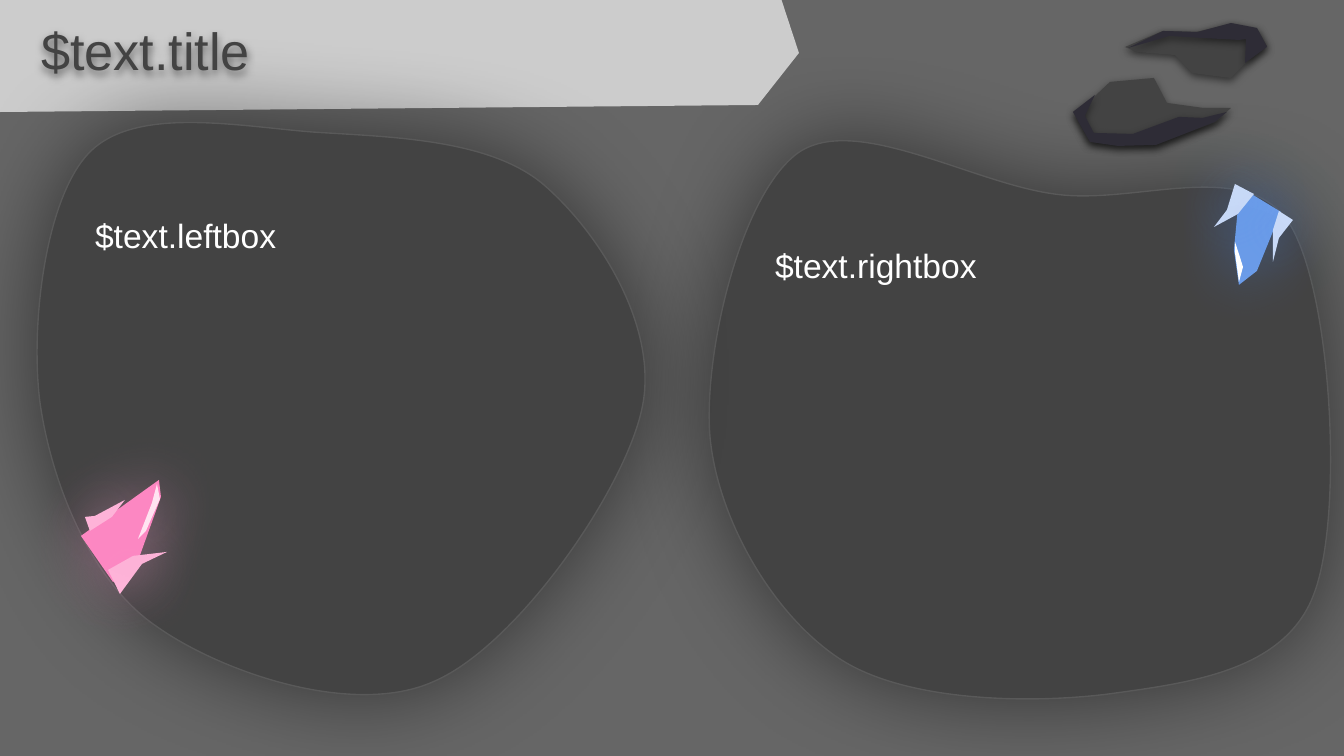
from pptx import Presentation
from pptx.dml.color import RGBColor as Rgb
from pptx.enum.text import MSO_ANCHOR as Anchor, MSO_AUTO_SIZE as Fit, PP_ALIGN as Align
from pptx.oxml import parse_xml
from pptx.oxml.ns import nsdecls, qn
from pptx.util import Emu, Pt

PX = 914400 / 134.4
INK = {
    "back": "666666", "dark": "434343", "edge": "595959", "pale": "CCCCCC",
    "white": "FFFFFF", "black": "000000", "night": "2E2C36",
    "blue": "6D9EEB", "ice": "C9DAF8", "sky": "4A86E8",
    "pink": "FF87C2", "rose": "FFB4D9", "blush": "FFE3F1", "glow": "F59FCD",
}

# Shadows: colour, blur and downward distance in points
DEEP = ("black", 49.5, 0)
LOW = ("black", 4.5, 1.5)
COLD = ("sky", 34.9, 0)
WARM = ("glow", 37.1, 1.5)

BANNER = [(-1, 112), (758, 105), (799, 53), (780, -5), (-20, -16), (-19, 109)]

# Pebbles: a start point, then two handles and an end point per curve
RIGHT = [
    (1289, 223),
    (1332, 290), (1344, 516), (1314, 594),
    (1285, 672), (1188, 683), (1109, 694),
    (1030, 704), (906, 702), (840, 659),
    (774, 616), (718, 521), (710, 437),
    (703, 353), (741, 194), (798, 153),
    (855, 113), (972, 183), (1054, 194),
    (1134, 206), (1245, 156), (1289, 223),
]
LEFT = [
    (543, 184),
    (598, 231), (660, 327), (642, 409),
    (624, 492), (517, 645), (435, 681),
    (355, 718), (222, 673), (156, 626),
    (90, 581), (51, 481), (40, 402),
    (30, 323), (46, 196), (90, 152),
    (136, 106), (237, 126), (312, 132),
    (387, 137), (488, 138), (543, 184),
]

BLUE_GEM = [
    ("blue", [(1281, 212), (1257, 271), (1239, 285), (1234, 250), (1240, 187)]),
    ("ice", [(1238, 214), (1214, 227), (1227, 210), (1235, 184), (1254, 194)]),
    ("ice", [(1279, 238), (1273, 262), (1273, 230), (1279, 211), (1293, 220)]),
    ("white", [(1243, 267), (1239, 282), (1235, 253), (1235, 242), (1239, 254)]),
]
PINK_GEM = [
    ("pink", [(81, 536), (159, 480), (161, 497), (133, 575), (113, 582)]),
    ("rose", [(133, 556), (167, 552), (142, 564), (120, 594), (108, 570)]),
    ("rose", [(95, 516), (125, 500), (112, 517), (90, 531), (85, 517)]),
    ("blush", [(152, 503), (157, 484), (160, 499), (146, 531), (138, 539)]),
]
ROCKS = [
    ("dark", [(1090, 142), (1117, 145), (1156, 145), (1216, 122), (1231, 108), (1203, 108),
              (1167, 103), (1154, 78), (1110, 82), (1093, 98), (1074, 113)]),
    ("night", [(1095, 95), (1085, 116), (1094, 133), (1133, 134), (1179, 117), (1203, 118),
               (1227, 112), (1215, 122), (1156, 145), (1118, 146), (1090, 142), (1073, 112)]),
    ("dark", [(1258, 30), (1230, 24), (1196, 32), (1163, 31), (1125, 47), (1137, 52),
              (1175, 55), (1192, 73), (1231, 78), (1249, 60), (1267, 46)]),
    ("night", [(1245, 63), (1246, 39), (1239, 40), (1202, 38), (1169, 36), (1156, 40),
               (1128, 48), (1163, 31), (1198, 32), (1231, 23), (1257, 28), (1267, 47)]),
]


def px(n):
    return Emu(round(n * PX))


def rgb(name):
    return Rgb.from_string(INK[name])


def place(shape, box):
    shape.left, shape.top, shape.width, shape.height = map(px, box)


def write(frame, text, size=18, color="white", anchor=Anchor.TOP, line=None, after=0):
    frame.word_wrap, frame.auto_size = True, Fit.NONE
    frame.vertical_anchor = anchor
    frame.margin_left = frame.margin_right = px(13)
    frame.margin_top = frame.margin_bottom = px(13)
    para = frame.paragraphs[0]
    props = para._p.get_or_add_pPr()
    props.set("marL", "0")
    props.set("indent", "0")
    props.append(parse_xml(f"<a:buNone {nsdecls('a')}/>"))
    para.alignment = Align.LEFT
    para.line_spacing = line
    para.space_before, para.space_after = Pt(0), Pt(after)
    run = para.add_run()
    run.text = text
    run.font.name, run.font.size = "Arial", Pt(size)
    run.font.color.rgb = rgb(color)


class Deck:
    """Holds the file, the current slide and the look of its elements."""

    def __init__(self):
        self.file = Presentation()
        self.file.slide_width, self.file.slide_height = px(1344), px(756)
        self.slide = self.file.slides.add_slide(self.file.slide_layouts[3])
        fill = self.slide.background.fill
        fill.solid()
        fill.fore_color.rgb = rgb("back")

    def shade(self, shape, glow):
        shape.shadow.inherit = False
        if glow:
            color, blur, dist = glow
            shape.element.spPr.find(qn("a:effectLst")).append(parse_xml(
                f'<a:outerShdw {nsdecls("a")} blurRad="{Pt(blur)}" dist="{Pt(dist)}" '
                f'dir="5400000" algn="bl" rotWithShape="0"><a:srgbClr val="{INK[color]}">'
                '<a:alpha val="50000"/></a:srgbClr></a:outerShdw>'))

    def shard(self, fill, points, glow=None):
        pen = self.slide.shapes.build_freeform(*points[0], scale=PX)
        pen.add_line_segments(points[1:], close=True)
        shape = pen.convert_to_shape()
        shape.fill.solid()
        shape.fill.fore_color.rgb = rgb(fill)
        shape.line.fill.background()
        self.shade(shape, glow)
        return shape

    def pebble(self, box, points):
        """Draw a closed outline whose straight runs become cubic curves."""
        shape = self.shard("dark", points, DEEP)
        shape.line.color.rgb, shape.line.width = rgb("edge"), Pt(0.75)
        place(shape, box)
        left, top, wide, high = box
        track = next(shape.element.iter(qn("a:path")))
        track.set("w", str(wide))
        track.set("h", str(high))
        for dot, (x, y) in zip(track.iter(qn("a:pt")), points):
            dot.set("x", str(x - left))
            dot.set("y", str(y - top))
        legs = track.findall(qn("a:lnTo"))
        for i in range(0, len(legs), 3):
            curve = parse_xml(f"<a:cubicBezTo {nsdecls('a')}/>")
            legs[i].addprevious(curve)
            for leg in legs[i:i + 3]:
                curve.append(leg[0])
                track.remove(leg)

    def cluster(self, parts, glow):
        shards = [self.shard(fill, points, glow) for fill, points in parts]
        self.slide.shapes.add_group_shape(shards)

    def text(self, slot, box, words, glow=None, **form):
        """Fill a placeholder and bring it in front of what is drawn so far."""
        shape = self.slide.placeholders[slot]
        place(shape, box)
        write(shape.text_frame, words, **form)
        if glow:
            self.shade(shape, glow)
        shape.element.getparent().append(shape.element)


def main():
    deck = Deck()
    body = dict(line=1.15, after=12)
    deck.pebble((710, 141, 622, 558), RIGHT)
    deck.text(2, (762, 226, 515, 388), "$text.rightbox", **body)
    deck.shard("pale", BANNER)
    deck.pebble((37, 122, 608, 573), LEFT)
    deck.cluster(BLUE_GEM, COLD)
    deck.cluster(PINK_GEM, WARM)
    deck.text(1, (82, 196, 511, 426), "$text.leftbox", **body)
    deck.text(0, (28, 0, 896, 94), "$text.title", glow=LOW,
              size=28, color="dark", anchor=Anchor.BOTTOM)
    deck.cluster(ROCKS, LOW)
    deck.file.save("out.pptx")


if __name__ == "__main__":
    main()
